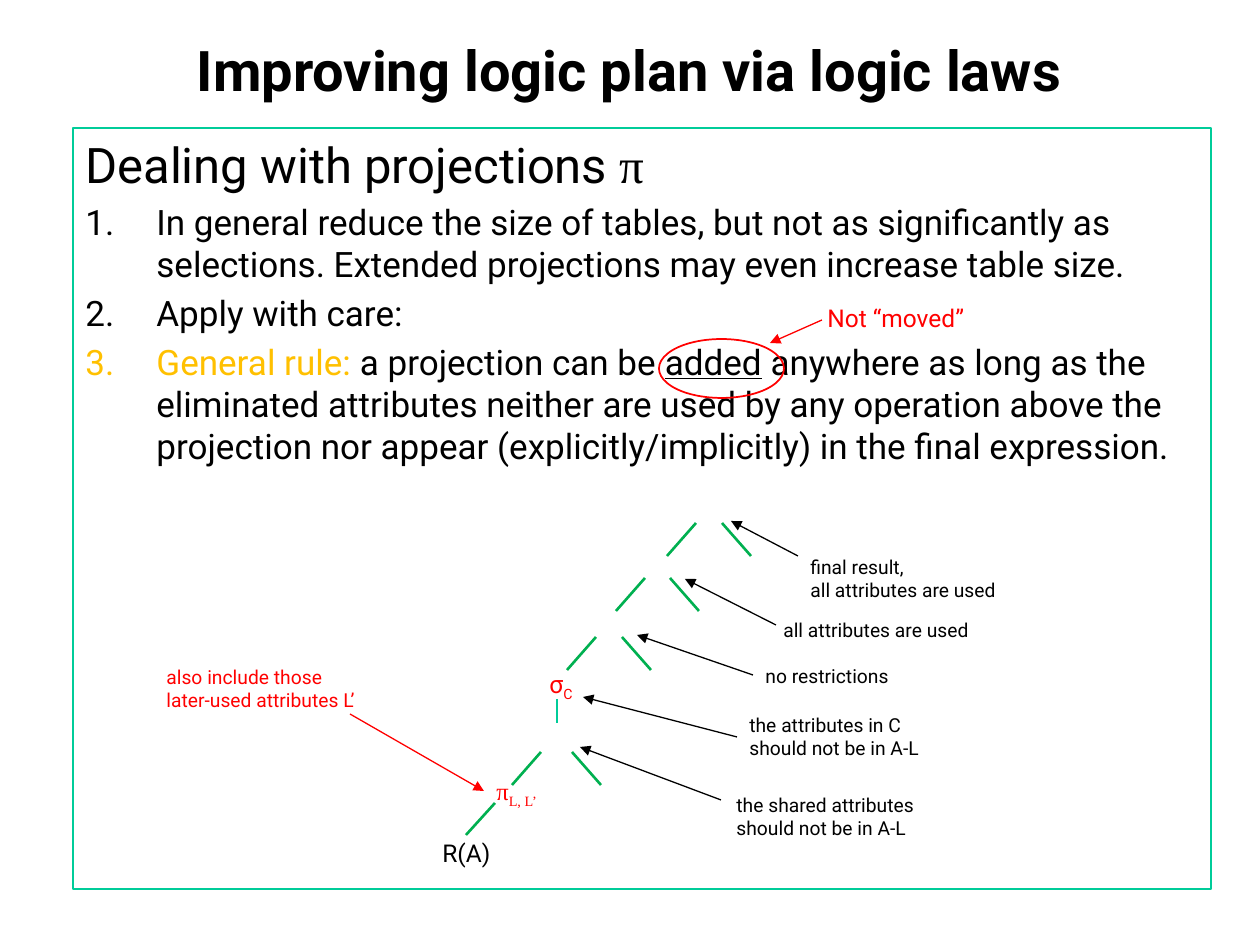
from lxml import etree
from pptx import Presentation
from pptx import util as u
from pptx.dml import color
from pptx.enum import shapes, text
from pptx.oxml import ns

SCALE = 914400 / 126
BLACK, RED, GREEN, TEAL, GOLD = "000000", "FF0000", "00B050", "00CC99", "FFC000"
SANS, SERIF = "Roboto", "Times New Roman"

JOINS = [(512, 785, 89), (567, 670, 84), (616, 611, 83), (667, 556, 84)]
NOTES = [
    (798, 549, 212, ["final result,", "all attributes are used"], (798, 556, 731, 521)),
    (771, 612, 212, ["all attributes are used"], (776, 625, 685, 579)),
    (753, 658, 149, ["no restrictions"], (753, 675, 637, 635)),
    (737, 707, 199, ["the attributes in C", "should not be in A-L"], (737, 737, 583, 697)),
    (724, 787, 210, ["the shared attributes", "should not be in A-L"], (721, 800, 580, 747)),
]


def px(length):
    """Turn pixels into EMU."""
    return u.Emu(round(length * SCALE))


def rgb(value):
    """Turn a hex string into a colour."""
    return color.RGBColor.from_string(value)


def add_run(paragraph, words, size, ink=BLACK, baseline=0, **formats):
    """Add one formatted run to a paragraph."""
    run = paragraph.add_run()
    run.text = words
    for name, value in {"size": u.Pt(size), "name": SANS, **formats}.items():
        setattr(run.font, name, value)
    run.font.color.rgb = rgb(ink)
    if baseline:
        run.font._element.set("baseline", str(baseline * 1000))


def add_text(slide, left, top, width, height, wrap=False, anchor=text.MSO_ANCHOR.TOP):
    """Add an empty text box and return its frame."""
    frame = slide.shapes.add_textbox(*map(px, (left, top, width, height))).text_frame
    for name, value in {"word_wrap": wrap, "vertical_anchor": anchor}.items():
        setattr(frame, name, value)
    return frame


def add_label(slide, left, top, width, lines, size=11, ink=BLACK):
    """Add a label of one or more lines."""
    height = 43 if size > 11 else 7 + 29 * len(lines)
    if len(lines) == 1 and size == 11:
        height = 37
    frame = add_text(slide, left, top, width, height)
    for number, words in enumerate(lines):
        paragraph = frame.add_paragraph() if number else frame.paragraphs[0]
        add_run(paragraph, words, size, ink)


def add_operator(slide, left, top, width, symbol, subscript, font):
    """Add a red operator symbol with its subscript."""
    paragraph = add_text(slide, left, top, width, 43).paragraphs[0]
    add_run(paragraph, symbol, 14, RED, name=font)
    add_run(paragraph, subscript, 14, RED, -25, name=font)


def add_line(slide, ends, ink, weight=1.5, arrow=False):
    """Add a straight line, with an arrowhead at its end if asked."""
    line = slide.shapes.add_connector(shapes.MSO_CONNECTOR.STRAIGHT, *map(px, ends))
    line.line.color.rgb = rgb(ink)
    line.line.width = u.Pt(weight)
    if arrow:
        etree.SubElement(line.line._get_or_add_ln(), ns.qn("a:tailEnd"), type="triangle")
    etree.SubElement(line._element.spPr, ns.qn("a:effectLst"))


def add_outline(slide, kind, box, ink):
    """Add an unfilled shape with a thin outline."""
    shape = slide.shapes.add_shape(kind, *map(px, box))
    shape.shadow.inherit = False
    shape.fill.background()
    shape.line.color.rgb = rgb(ink)
    shape.line.width = u.Pt(1)
    return shape


def add_rule(frame, parts):
    """Add a numbered paragraph made of (words, formats) parts."""
    paragraph = frame.add_paragraph()
    paragraph.alignment = text.PP_ALIGN.LEFT
    paragraph.space_before = u.Pt(4)
    properties = paragraph._p.get_or_add_pPr()
    properties.set("marL", str(px(71)))
    properties.set("indent", str(-px(71)))
    etree.SubElement(properties, ns.qn("a:buFont"), typeface="+mj-lt")
    etree.SubElement(properties, ns.qn("a:buAutoNum"), type="arabicPeriod")
    for words, formats in parts:
        add_run(paragraph, words, 20, **formats)


def add_body(slide):
    """Add the framed text on projections."""
    panel = add_outline(slide, shapes.MSO_SHAPE.RECTANGLE, (73, 128, 1138, 761), TEAL)
    frame = panel.text_frame
    frame.word_wrap = True
    frame.vertical_anchor = text.MSO_ANCHOR.TOP
    heading = frame.paragraphs[0]
    heading.alignment = text.PP_ALIGN.LEFT
    add_run(heading, "Dealing with projections ", 28)
    add_run(heading, "π", 28, name=SERIF)
    add_rule(frame, [("In general reduce the size of tables, but not as significantly as "
                      "selections. Extended projections may even increase table size.", {})])
    add_rule(frame, [("Apply with care:", {})])
    add_rule(frame, [
        ("General rule: ", {"ink": GOLD}),
        ("a projection can be ", {}),
        ("added", {"underline": True}),
        (" anywhere as long as the eliminated attributes neither are used by any operation "
         "above the projection nor appear (explicitly/implicitly) in the final expression.", {}),
    ])


def add_tree(slide):
    """Add the expression tree with its operators."""
    add_line(slide, (466, 835, 495, 803), GREEN)
    for left, foot, span in JOINS:
        right = left + span
        add_line(slide, (left, foot, left + 29, foot - 33), GREEN)
        add_line(slide, (right, foot, right - 29, foot - 33), GREEN)
    add_line(slide, (557, 699, 557, 723), TEAL)
    add_label(slide, 430, 832, 77, ["R(A)"], 14)
    add_operator(slide, 537, 663, 52, "σ", "C", SANS)
    add_operator(slide, 484, 770, 71, "π", "L, L’", SERIF)


def main():
    """Build the slide and save it."""
    deck = Presentation()
    deck.slide_width, deck.slide_height = px(1260), px(945)
    slide = deck.slides.add_slide(deck.slide_layouts[6])
    title = add_text(slide, 94, 33, 1071, 72, True, text.MSO_ANCHOR.MIDDLE).paragraphs[0]
    title.alignment = text.PP_ALIGN.CENTER
    add_run(title, "Improving logic plan via logic laws", 32, bold=True)
    add_body(slide)
    add_outline(slide, shapes.MSO_SHAPE.OVAL, (659, 339, 125, 59), RED)
    add_label(slide, 815, 297, 164, ["Not “moved”"], 14, RED)
    add_line(slide, (822, 320, 770, 343), RED, 0.75, True)
    add_tree(slide)
    for left, top, width, lines, arrow in NOTES:
        add_label(slide, left, top, width, lines)
        add_line(slide, arrow, BLACK, 0.75, True)
    add_label(slide, 154, 659, 219, ["also include those", "later-used attributes L’"], ink=RED)
    add_line(slide, (350, 714, 484, 791), RED, 0.75, True)
    deck.save("out.pptx")


if __name__ == "__main__":
    main()
